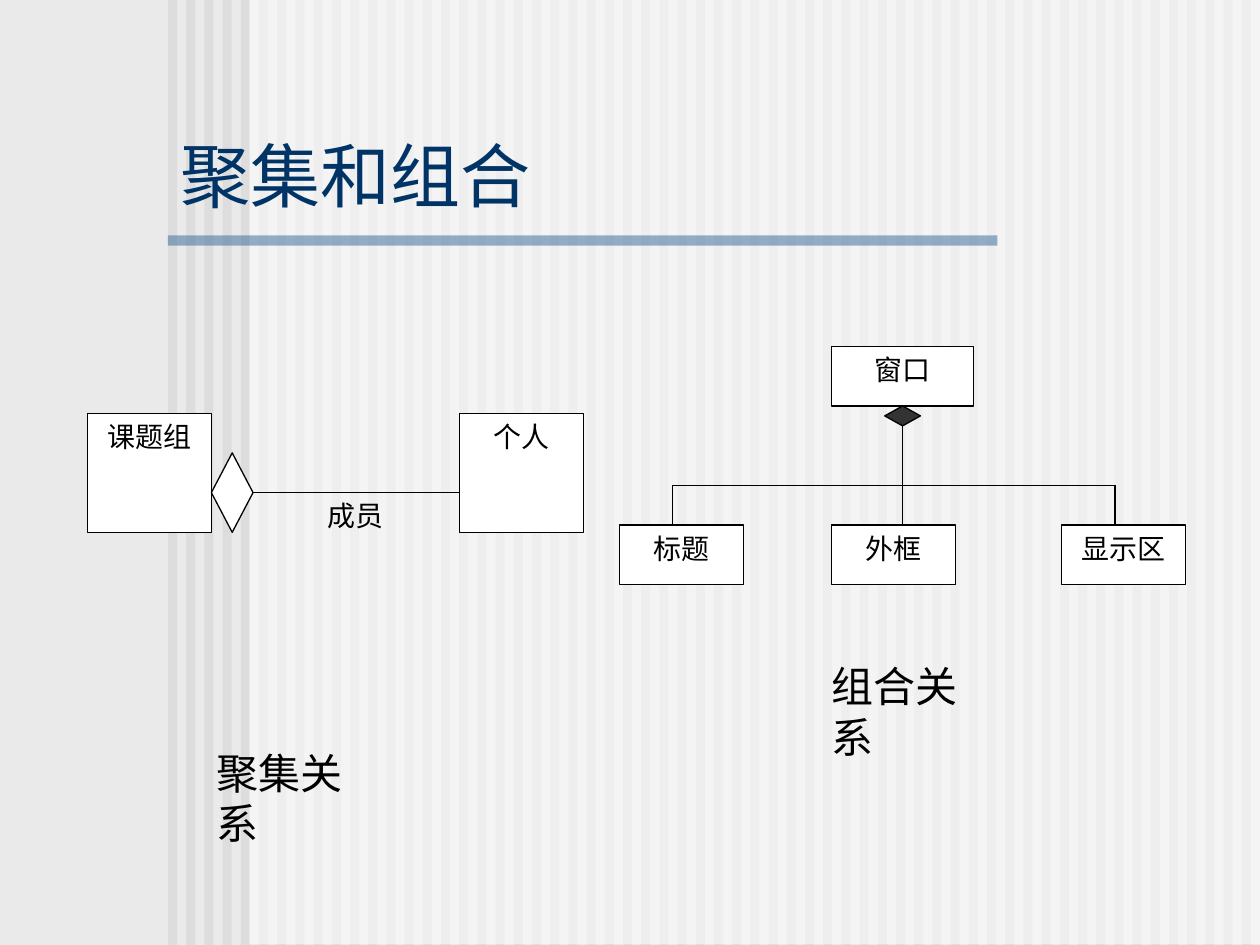
from lxml import etree
from pptx import Presentation
from pptx.dml.color import RGBColor
from pptx.enum.shapes import MSO_CONNECTOR, MSO_SHAPE
from pptx.enum.text import MSO_ANCHOR, MSO_AUTO_SIZE, PP_ALIGN
from pptx.oxml.ns import qn
from pptx.util import Pt

COLORS = {
    "background": "EAEAEA",
    "stripe": "DDDDDD",
    "white": "FFFFFF",
    "rule": "336699",
    "title": "003366",
    "ink": "000000",
    "composition": "333333",
}
LABEL = {"size": Pt(16), "name": "Times New Roman"}
CAPTION = {"size": Pt(24), "name": "Cabin"}
TITLE = {"size": Pt(40), "name": "Arial"}


def color(key):
    return RGBColor.from_string(COLORS[key])


def paint(fill, key, opacity=100):
    fill.solid()
    fill.fore_color.rgb = color(key)
    if opacity < 100:
        tone = fill._xPr.find(qn("a:solidFill"))[0]
        etree.SubElement(tone, qn("a:alpha"), val=str(opacity * 1000))


def write(owner, text, font_values, ink="ink", align=PP_ALIGN.LEFT, **frame_values):
    frame = owner.text_frame
    frame_format = {
        "word_wrap": True,
        "vertical_anchor": MSO_ANCHOR.TOP,
        "margin_left": Pt(7.2),
        "margin_right": Pt(7.2),
        "margin_top": Pt(3.6),
        "margin_bottom": Pt(3.6),
        **frame_values,
    }
    for attribute, value in frame_format.items():
        setattr(frame, attribute, value)
    paragraph = frame.paragraphs[0]
    paragraph.alignment = align
    run = paragraph.add_run()
    run.text = text
    for attribute, value in font_values.items():
        setattr(run.font, attribute, value)
    run.font.color.rgb = color(ink)


def add_text(slide, box, text, font_values, **options):
    write(slide.shapes.add_textbox(*map(Pt, box)), text, font_values, **options)


def add_caption(slide, box, text):
    add_text(slide, box, text, CAPTION, word_wrap=False,
             auto_size=MSO_AUTO_SIZE.SHAPE_TO_FIT_TEXT)


def add_figure(slide, preset, box, fill, opacity=100, outlined=True):
    figure = slide.shapes.add_shape(preset, *map(Pt, box))
    figure.shadow.inherit = False
    paint(figure.fill, fill, opacity)
    if outlined:
        paint(figure.line.fill, "ink")
        figure.line.width = Pt(0.75)
    else:
        figure.line.fill.background()
    return figure


def add_class(slide, box, text):
    class_box = add_figure(slide, MSO_SHAPE.RECTANGLE, box, "white")
    write(class_box, text, LABEL, align=PP_ALIGN.CENTER)


def add_link(slide, *ends):
    link = slide.shapes.add_connector(MSO_CONNECTOR.STRAIGHT, *map(Pt, ends))
    link.line.width = Pt(0.75)
    link.line.color.rgb = color("ink")
    etree.SubElement(link._element.spPr, qn("a:effectLst"))


def add_backdrop(slide):
    paint(slide.background.fill, "background")
    bands = [((96 + 10.4 * i, 0, 5.2, 540), "stripe", 100) for i in range(60)]
    bands.append(((142.5, -0.5, 577.5, 540), "white", 50))
    bands.append(((96, 134.5, 474, 5.8), "rule", 50))
    for box, fill, opacity in bands:
        add_figure(slide, MSO_SHAPE.RECTANGLE, box, fill, opacity, outlined=False)


def add_aggregation(slide):
    add_text(slide, (180, 281.5, 59, 68), "成员", LABEL, align=PP_ALIGN.JUSTIFY)
    for left, name in ((50, "课题组"), (262.6, "个人")):
        add_class(slide, (left, 236.2, 70.8, 68), name)
    add_figure(slide, MSO_SHAPE.DIAMOND, (120.8, 258.8, 23.8, 45.4), "white")
    add_link(slide, 144.6, 281.5, 262.6, 281.5)
    add_caption(slide, (116.6, 423.4, 110, 36), "聚集关系")


def add_composition(slide):
    part_top, branch_y, trunk_x = 300, 277.4, 515.8
    add_class(slide, (475.2, 198, 81, 34), "窗口")
    for left, name in ((354, "标题"), (475.2, "外框"), (606.6, "显示区")):
        add_class(slide, (left, part_top, 70.8, 34), name)
    add_figure(slide, MSO_SHAPE.DIAMOND, (505.6, 232, 20.4, 11.4), "composition")
    first_x, last_x = 384.4, 637.2
    for x, top in ((first_x, branch_y), (trunk_x, 243.4), (last_x, branch_y)):
        add_link(slide, x, part_top, x, top)
    add_link(slide, first_x, branch_y, last_x, branch_y)
    add_caption(slide, (468, 374, 110, 36), "组合关系")


def main():
    deck = Presentation()
    deck.slide_width, deck.slide_height = Pt(720), Pt(540)
    slide = deck.slides.add_slide(deck.slide_layouts[6])
    add_backdrop(slide)
    add_text(slide, (96, 77.8, 528, 49.7), "聚集和组合", TITLE, ink="title",
             vertical_anchor=MSO_ANCHOR.BOTTOM)
    add_aggregation(slide)
    add_composition(slide)
    deck.save("out.pptx")


if __name__ == "__main__":
    main()
